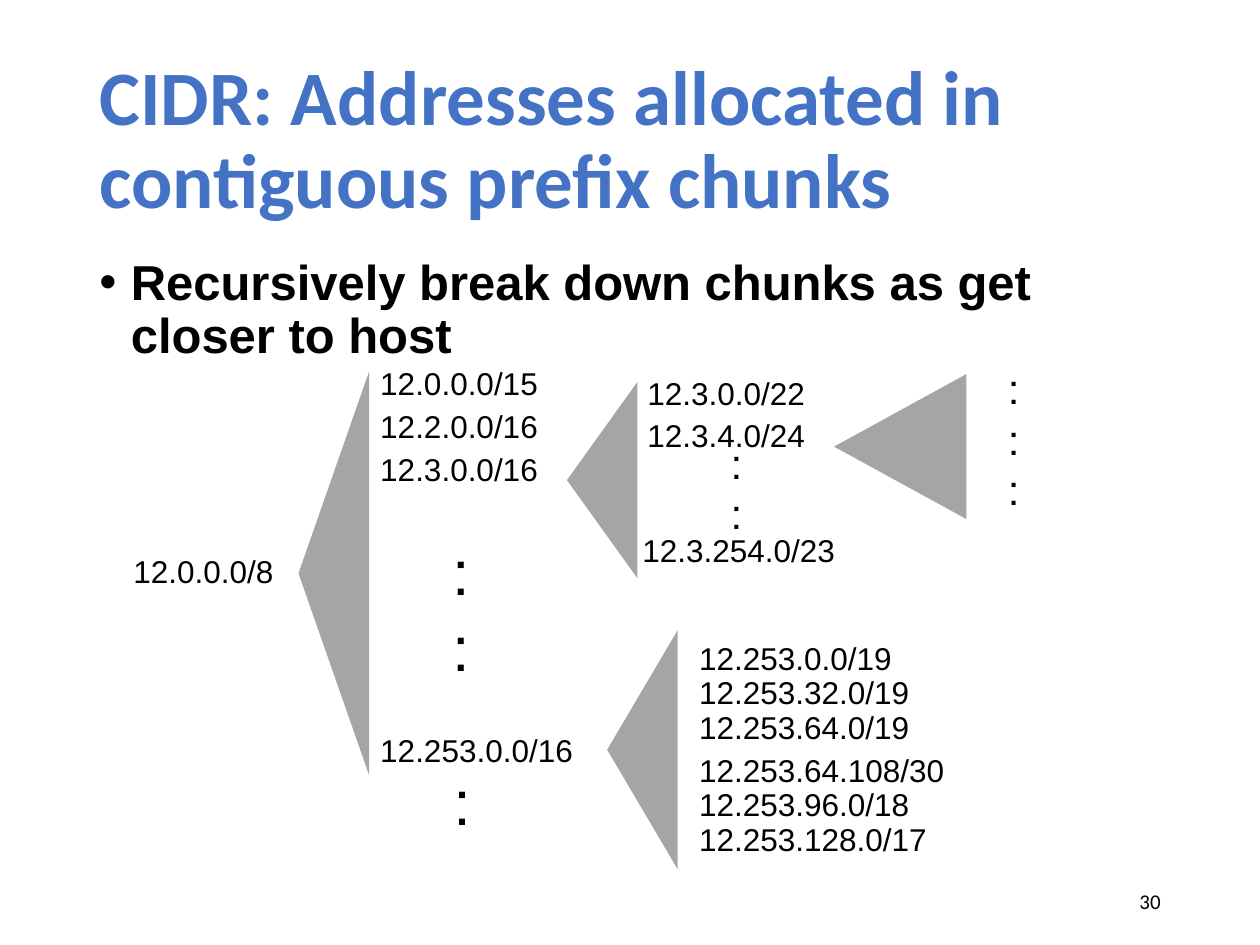
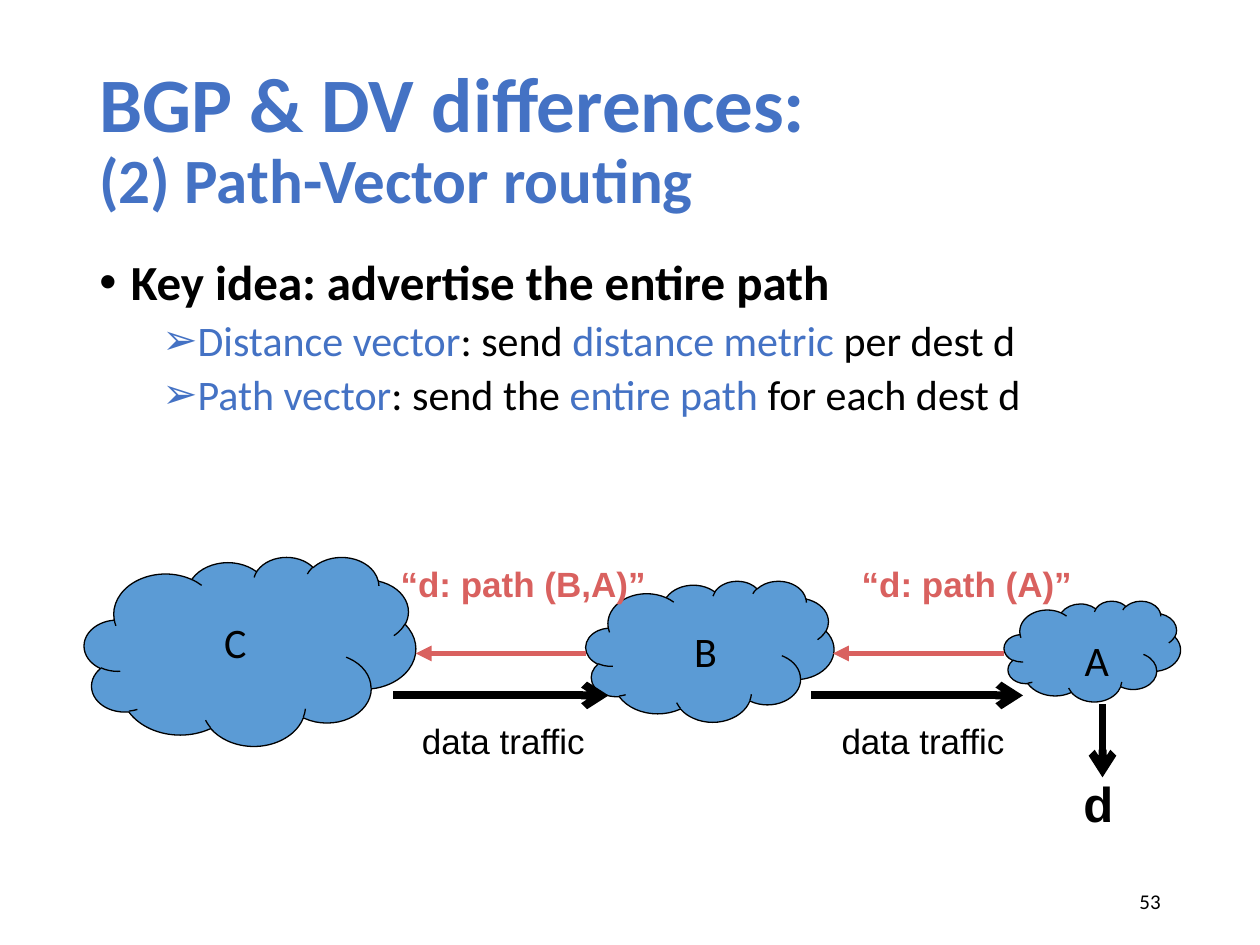
from lxml import etree
from pptx import Presentation
from pptx.dml.color import RGBColor
from pptx.enum.shapes import MSO_CONNECTOR, MSO_SHAPE
from pptx.enum.text import MSO_ANCHOR, MSO_AUTO_SIZE, PP_ALIGN
from pptx.oxml.ns import qn
from pptx.util import Pt

STRAIGHT = MSO_CONNECTOR.STRAIGHT
CLOUD, TRIANGLE = MSO_SHAPE.CLOUD, MSO_SHAPE.ISOSCELES_TRIANGLE
TOP, MIDDLE = MSO_ANCHOR.TOP, MSO_ANCHOR.MIDDLE
FIT = MSO_AUTO_SIZE.SHAPE_TO_FIT_TEXT
LEFT, RIGHT = PP_ALIGN.LEFT, PP_ALIGN.RIGHT

BLACK, BLUE, GRAY, SKY, RED = "000000", "4472C4", "A5A5A5", "5B9BD5", "D9615F"
SANS, BODY = "Arial", "Calibri"
MARGIN, CONTENT_W = 49.7, 620.6


def rgb(value):
    return RGBColor.from_string(value)


class Deck:
    def __init__(self):
        self.prs = Presentation()
        self.prs.slide_width, self.prs.slide_height = Pt(720), Pt(540)
        self.slide = None

    def new_slide(self, title, number):
        """Start a slide with its title lines [(text, size)] and page number."""
        self.slide = self.prs.slides.add_slide(self.prs.slide_layouts[6])
        p = self.frame(MARGIN, 28.8, CONTENT_W, 104.4, MIDDLE).paragraphs[0]
        p.line_spacing = 0.9
        for i, (text, size) in enumerate(title):
            if i:
                p.add_line_break()
            self.run(p, text, size=size, name=BODY, color=BLUE, bold=True)
        p = self.frame(508.3, 500.4, 162, 28.8, MIDDLE).paragraphs[0]
        p.alignment = RIGHT
        self.run(p, str(number), size=12, name=BODY)

    def frame(self, x, y, w, h, anchor=TOP, wrap=True):
        s = self.slide.shapes.add_textbox(Pt(x), Pt(y), Pt(w), Pt(h))
        tf = s.text_frame
        tf.word_wrap = wrap
        tf.vertical_anchor = anchor
        return tf

    def run(self, p, text, size=18, color=BLACK, **fmt):
        r = p.add_run()
        r.text = text
        r.font.size = Pt(size)
        r.font.color.rgb = rgb(color)
        for key, value in fmt.items():
            setattr(r.font, key, value)

    def body(self, items):
        """Bulleted text; items are (level, [(text, color)], format)."""
        tf = self.frame(MARGIN, 144, CONTENT_W, 342.7)
        for i, (level, runs, fmt) in enumerate(items):
            p = tf.add_paragraph() if i else tf.paragraphs[0]
            p.level = level
            pPr = p._p.get_or_add_pPr()
            pPr.set("marL", str(Pt(18 + 36 * level)))
            pPr.set("indent", str(Pt(-18)))
            etree.SubElement(pPr, qn("a:buFont")).set("typeface", SANS)
            etree.SubElement(pPr, qn("a:buChar")).set("char", "•➢"[level])
            p.line_spacing = 0.9
            if i:
                p.space_before = Pt(5)
            for text, color in runs:
                self.run(p, text, color=color, **fmt)

    def label(self, x, y, w, h, lines, **fmt):
        tf = self.frame(x, y, w, h, wrap=False)
        tf.auto_size = FIT
        for i, line in enumerate(lines):
            p = tf.add_paragraph() if i else tf.paragraphs[0]
            p.alignment = LEFT
            self.run(p, line, **{"name": SANS, **fmt})

    def address(self, x, y, prefix):
        self.label(x, y, 11.2 * len(prefix) - 7.4, 31.7, [prefix])

    def shape(self, kind, x, y, w, h, fill, line=None):
        s = self.slide.shapes.add_shape(kind, Pt(x), Pt(y), Pt(w), Pt(h))
        s.shadow.inherit = False
        s.fill.solid()
        s.fill.fore_color.rgb = rgb(fill)
        if line:
            s.line.color.rgb = rgb(line)
            s.line.width = Pt(0.75)
        else:
            s.line.fill.background()
        return s

    def fan(self, x, y, w, h):
        """Triangle pointing left that fills the given area once turned."""
        s = self.shape(TRIANGLE, x + (w - h) / 2, y + (h - w) / 2, h, w, GRAY)
        s.rotation = 270

    def arrow(self, x1, y1, x2, y2, color, width, head):
        s = self.slide.shapes.add_connector(STRAIGHT, Pt(x1), Pt(y1), Pt(x2), Pt(y2))
        s.line.color.rgb = rgb(color)
        s.line.width = Pt(width)
        etree.SubElement(s.line._get_or_add_ln(), qn("a:tailEnd")).set("type", head)
        etree.SubElement(s._element.spPr, qn("a:effectLst"))


def cidr_slide(deck):
    deck.new_slide([("CIDR: Addresses allocated in contiguous prefix chunks", 44)], 30)
    deck.body([(0, [("Recursively break down chunks as get closer to host", BLACK)],
                dict(size=28, name=SANS, bold=True))])

    # Fans from each prefix to its chunks
    for area in [(170.6, 212.4, 40.3, 230.4), (324, 218.2, 40.3, 112.3),
                 (347, 360, 40.3, 136.8), (476.6, 213.8, 75.6, 82.8)]:
        deck.fan(*area)

    # Address columns: left, top, step, prefixes
    columns = [
        (69.1, 311.8, 0, ["12.0.0.0/8"]),
        (210.2, 204.5, 24.5, ["12.0.0.0/15", "12.2.0.0/16", "12.3.0.0/16"]),
        (210.2, 414, 0, ["12.253.0.0/16"]),
        (362.9, 210.2, 23.8, ["12.3.0.0/22", "12.3.4.0/24"]),
        (360, 300.2, 0, ["12.3.254.0/23"]),
        (392.4, 361.4, 19.8, ["12.253.0.0/19", "12.253.32.0/19", "12.253.64.0/19"]),
        (392.4, 425.5, 19.8, ["12.253.64.108/30", "12.253.96.0/18", "12.253.128.0/17"]),
    ]
    for x, y, step, prefixes in columns:
        for i, prefix in enumerate(prefixes):
            deck.address(x, y + i * step, prefix)

    # Vertical ellipses
    for x, y, w, h, count, size in [(251.3, 301, 24.5, 94.3, 2, 36),
                                    (252, 432, 24.5, 51.1, 1, 36),
                                    (410.4, 246.2, 21.6, 65.5, 2, 24),
                                    (568.8, 203.8, 21.6, 94.3, 3, 24)]:
        deck.label(x, y, w, h, [":"] * count, size=size)


def path_vector_slide(deck):
    deck.new_slide([("BGP & DV differences:", 44), ("(2) Path-Vector routing", 36)], 53)
    detail = dict(size=24, name=BODY, bold=False)
    deck.body([
        (0, [("Key idea: advertise the entire path", BLACK)],
         dict(size=28, name=BODY, bold=True)),
        (1, [("Distance vector", BLUE), (": send ", BLACK),
             ("distance metric ", BLUE), ("per dest d", BLACK)], detail),
        (1, [("Path vector", BLUE), (": send the ", BLACK),
             ("entire path ", BLUE), ("for each dest d", BLACK)], detail),
    ])

    # Networks: name, cloud area, label corner
    for name, area, corner in [("C", (48.2, 318.2, 189.4, 108), (121, 348.5)),
                               ("B", (334.8, 331.9, 141.8, 80.6), (389.5, 354.2)),
                               ("A", (573.8, 343.4, 100.8, 57.6), (612.7, 359.3))]:
        deck.shape(CLOUD, *area, SKY, BLACK)
        deck.label(*corner, 32.4, 36, [name], size=24, name=BODY)

    # Data traffic towards d
    for x1, y1, x2, y2 in [(463.7, 397.4, 584.6, 397.4), (224.6, 397.4, 347.8, 397.4),
                           (630, 402.5, 630, 444.2)]:
        deck.arrow(x1, y1, x2, y2, BLACK, 4.5, "arrow")
    for x in (234, 473.8):
        deck.label(x, 407.5, 108, 31.7, ["data traffic"], size=20)
    deck.label(612, 438.5, 31.7, 41, ["d"], size=28, bold=True)

    # Path advertisements
    for text, x, w, start, end in [("“d: path (B,A)”", 221.8, 155.5, 334.8, 237.6),
                                   ("“d: path (A)”", 485.3, 135.4, 573.8, 476)]:
        deck.label(x, 318, w, 31.7, [text], size=20, color=RED, bold=True)
        deck.arrow(start, 373.4, end, 373.4, RED, 3, "triangle")


def main():
    deck = Deck()
    cidr_slide(deck)
    path_vector_slide(deck)
    deck.prs.save("out.pptx")


if __name__ == "__main__":
    main()
